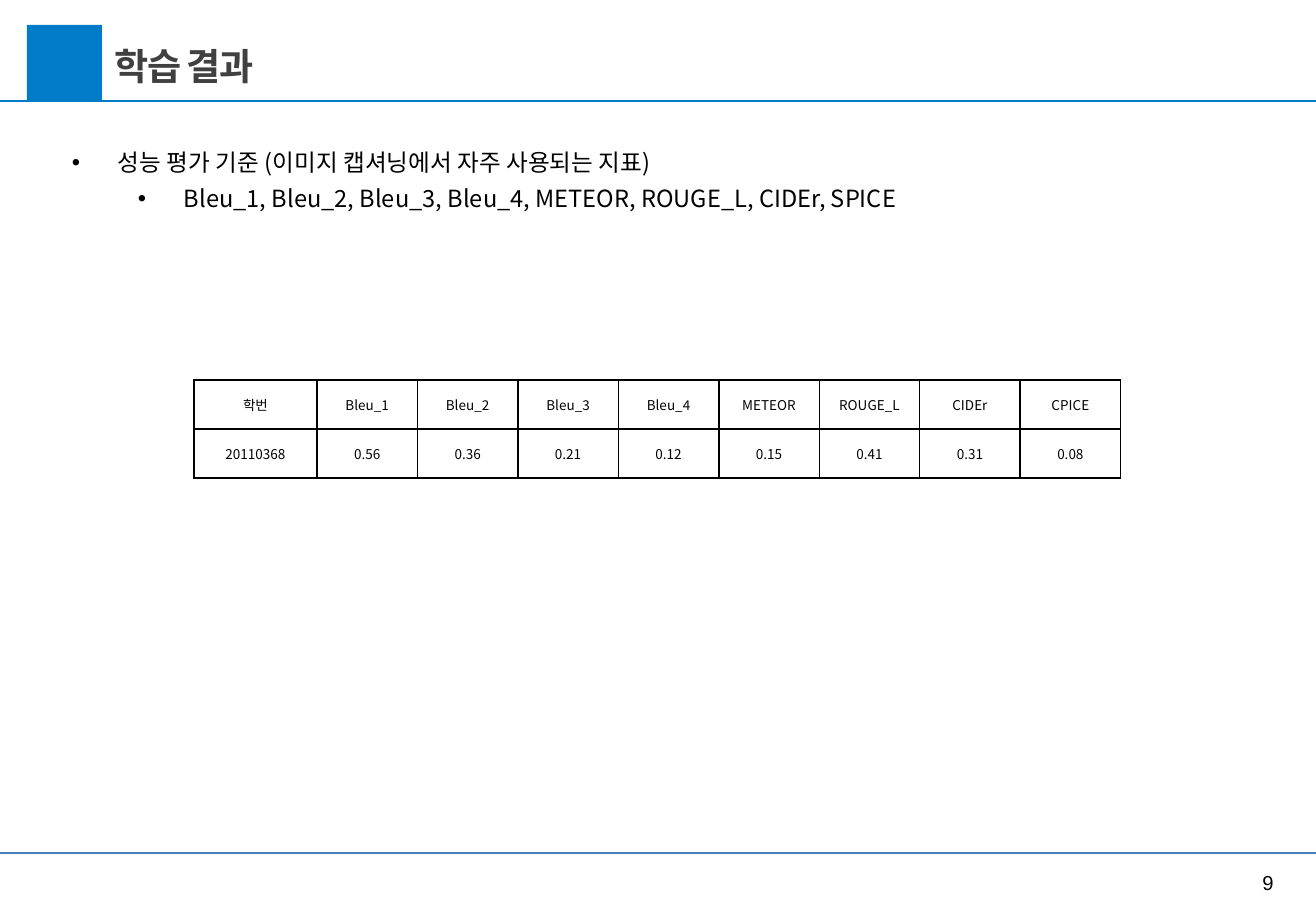
from pptx import Presentation
from pptx.dml.color import RGBColor
from pptx.enum.shapes import MSO_CONNECTOR, MSO_SHAPE
from pptx.enum.text import MSO_ANCHOR, PP_ALIGN
from pptx.oxml import parse_xml
from pptx.oxml.ns import nsdecls, qn
from pptx.util import Pt

EMU_PER_PX = 914400 / 121.5
WIDTH, HEIGHT = 1316, 911
BLUE, STEEL, GREY, BLACK, WHITE = "007BC7", "4B7EBC", "404040", "000000", "FFFFFF"

METRICS = ["Bleu_1", "Bleu_2", "Bleu_3", "Bleu_4", "METEOR", "ROUGE_L", "CIDEr"]
RESULTS = [
    ["학번", *METRICS, "CPICE"],
    ["20110368", "0.56", "0.36", "0.21", "0.12", "0.15", "0.41", "0.31", "0.08"],
]
CRITERIA = [
    (0, 46, "성능 평가 기준 (이미지 캡셔닝에서 자주 사용되는 지표)"),
    (1, 112, ", ".join([*METRICS, "SPICE"])),
]


def px(length):
    return round(length * EMU_PER_PX)


def color(value):
    return RGBColor.from_string(value)


class SlideBuilder:
    font = "Noto Sans CJK KR"

    def __init__(self, page):
        self.page = page

    def span(self, para, text, size, fill=BLACK, bold=False, font=None):
        run = para.add_run()
        run.text = text
        run.font.size = Pt(size)
        run.font.bold = bold
        run.font.color.rgb = color(fill)
        run.font.name = font or self.font
        properties = run._r.get_or_add_rPr()
        properties.append(parse_xml(
            f'<a:ea {nsdecls("a")} typeface="{font or self.font}"/>'))
        return properties

    def line(self, y, stroke, width):
        """Draw a rule across the whole slide."""
        rule = self.page.shapes.add_connector(
            MSO_CONNECTOR.STRAIGHT, 0, px(y), px(WIDTH), px(y))
        rule.line.color.rgb = color(stroke)
        rule.line.width = Pt(width)
        rule._element.spPr.append(parse_xml(f'<a:effectLst {nsdecls("a")}/>'))

    def square(self, left, top, side, fill):
        shape = self.page.shapes.add_shape(
            MSO_SHAPE.RECTANGLE, px(left), px(top), px(side), px(side))
        shape.shadow.inherit = False
        shape.fill.solid()
        shape.fill.fore_color.rgb = color(fill)
        shape.line.fill.background()

    def text_frame(self, left, top, width, height):
        box = self.page.shapes.add_textbox(px(left), px(top), px(width), px(height))
        box.text_frame.word_wrap = True
        return box.text_frame

    def title(self, left, top, width, height, text):
        frame = self.text_frame(left, top, width, height)
        frame.vertical_anchor = MSO_ANCHOR.MIDDLE
        frame.margin_left = frame.margin_right = 0
        frame.margin_top = frame.margin_bottom = 0
        self.span(frame.paragraphs[0], text, 22, GREY, bold=True).set("spc", "-100")

    def page_number(self, left, top, width, height, text):
        para = self.text_frame(left, top, width, height).paragraphs[0]
        para.alignment = PP_ALIGN.CENTER
        self.span(para, text, 12, font="Arial")

    def bullets(self, left, top, width, height, items):
        """Write items of (level, indent in px, text)."""
        frame = self.text_frame(left, top, width, height)
        for index, (level, indent, text) in enumerate(items):
            para = frame.add_paragraph() if index else frame.paragraphs[0]
            para.level = level
            para.line_spacing = 1.26
            properties = para._p.get_or_add_pPr()
            properties.set("marL", str(px(indent)))
            properties.set("indent", str(-px(46)))
            for mark in ('buFont typeface="Arial"', 'buChar char="•"'):
                properties.append(parse_xml(f'<a:{mark} {nsdecls("a")}/>'))
            self.span(para, text, 14)

    def cell(self, cell, text):
        cell.fill.solid()
        cell.fill.fore_color.rgb = color(WHITE)
        cell.vertical_anchor = MSO_ANCHOR.MIDDLE
        para = cell.text_frame.paragraphs[0]
        para.alignment = PP_ALIGN.CENTER
        self.span(para, text, 8)
        properties = cell._tc.get_or_add_tcPr()
        fill = properties.find(qn("a:solidFill"))
        for side in ("lnL", "lnR", "lnT", "lnB"):
            fill.addprevious(parse_xml(
                f'<a:{side} {nsdecls("a")} w="{Pt(1)}"><a:solidFill>'
                f'<a:srgbClr val="{BLACK}"/></a:solidFill></a:{side}>'))

    def table(self, left, top, first_width, other_widths, row_height, rows):
        """Draw a wide first column and share other_widths among the rest."""
        count = len(rows[0])
        table = self.page.shapes.add_table(
            len(rows), count, px(left), px(top),
            px(first_width + other_widths), px(row_height * len(rows))).table
        for index, column in enumerate(table.columns):
            column.width = px(other_widths / (count - 1)) if index else px(first_width)
        for row, texts in zip(table.rows, rows):
            row.height = px(row_height)
            for cell, text in zip(row.cells, texts):
                self.cell(cell, text)


def main():
    deck = Presentation()
    deck.slide_width, deck.slide_height = px(WIDTH), px(HEIGHT)
    slide = SlideBuilder(deck.slides.add_slide(deck.slide_layouts[6]))
    slide.line(101, BLUE, 1.25)
    slide.square(27, 25, 75, BLUE)
    slide.page_number(1220, 864, 96, 47, "9")
    slide.title(115, 43, 916, 45, "학습 결과")
    slide.line(853, STEEL, 1.5)
    slide.bullets(60, 135, 1196, 92, CRITERIA)
    slide.table(194, 380, 123, 804, 49, RESULTS)
    deck.save("out.pptx")


if __name__ == "__main__":
    main()
